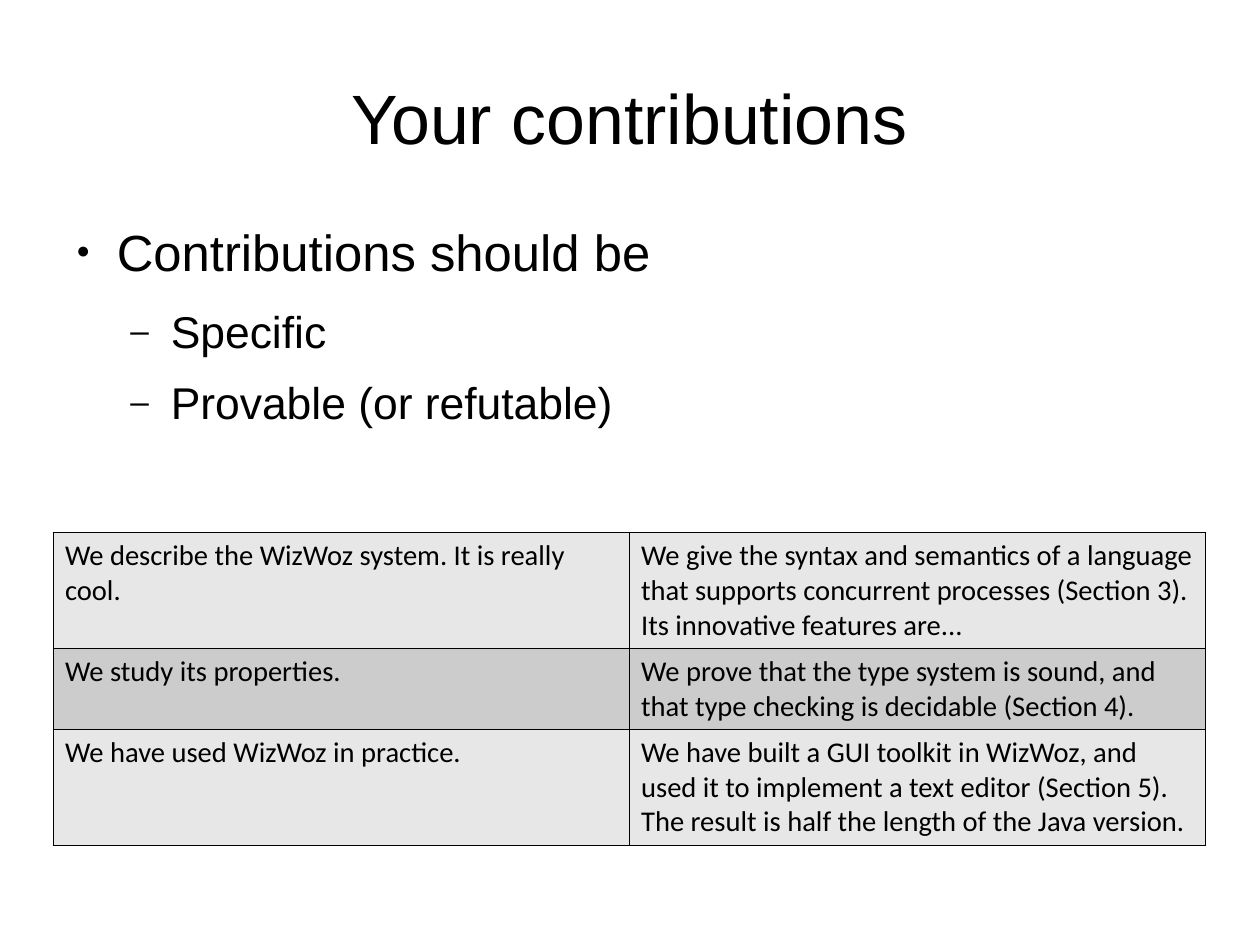
from pptx import Presentation
from pptx.util import Pt
from pptx.dml.color import RGBColor
from pptx.enum.text import PP_ALIGN, MSO_ANCHOR
from pptx.oxml.ns import qn
from lxml.etree import SubElement

HUES = {"ink": "000000", "light": "E7E7E7", "dark": "CCCCCC"}


def write(para, text, size, font="Arial", align=PP_ALIGN.LEFT, after=0):
    para.alignment = align
    para.space_before = Pt(0)
    para.space_after = Pt(after)
    run = para.add_run()
    run.text = text
    run.font.size = Pt(size)
    run.font.name = font
    run.font.color.rgb = RGBColor.from_string(HUES["ink"])


def clear(frame):
    frame.margin_left = frame.margin_right = Pt(0)
    frame.margin_top = frame.margin_bottom = Pt(0)
    frame.word_wrap = True


deck = Presentation()
deck.slide_width, deck.slide_height = Pt(793.75), Pt(595.25)
slide = deck.slides.add_slide(deck.slide_layouts[5])

# Title
title = slide.shapes.title
title.left, title.top = Pt(39.6), Pt(23.8)
title.width, title.height = Pt(714.2), Pt(99.4)
clear(title.text_frame)
title.text_frame.vertical_anchor = MSO_ANCHOR.MIDDLE
write(title.text_frame.paragraphs[0], "Your contributions", 44,
      align=PP_ALIGN.CENTER)

# Bullet list: text, level, size, space after, mark, mark size in percent
points = [
    ("Contributions should be", 0, 32, 14.1, "●", 45),
    ("Specific", 1, 28, 11.3, "–", 75),
    ("Provable (or refutable)", 1, 28, 11.3, "–", 75),
]
body = slide.shapes.add_textbox(Pt(39.6), Pt(139), Pt(714.2), Pt(393))
frame = body.text_frame
clear(frame)
for i, (text, level, size, after, mark, scale) in enumerate(points):
    para = frame.add_paragraph() if i else frame.paragraphs[0]
    write(para, text, size, after=after)
    para.level = level
    props = para._p.get_or_add_pPr()
    props.set("marL", str(Pt(34 * (level + 1))))
    props.set("indent", str(Pt(-25.5)))
    SubElement(props, qn("a:buSzPct")).set("val", str(scale * 1000))
    SubElement(props, qn("a:buFont")).set("typeface", "Arial")
    SubElement(props, qn("a:buChar")).set("char", mark)

# Table of vague claims and their specific versions
claims = [
    ("We describe the WizWoz system. It is really cool.",
     "We give the syntax and semantics of a language that supports "
     "concurrent processes (Section 3). Its innovative features are..."),
    ("We study its properties.",
     "We prove that the type system is sound, and that type checking "
     "is decidable (Section 4)."),
    ("We have used WizWoz in practice.",
     "We have built a GUI toolkit in WizWoz, and used it to implement "
     "a text editor (Section 5). The result is half the length of the "
     "Java version."),
]
heights = [73, 51, 73]
table = slide.shapes.add_table(3, 2, Pt(33.8), Pt(335.4), Pt(725.8),
                               Pt(sum(heights))).table
for r, (pair, height) in enumerate(zip(claims, heights)):
    table.rows[r].height = Pt(height)
    for c, text in enumerate(pair):
        cell = table.cell(r, c)
        write(cell.text_frame.paragraphs[0], text, 18, font="Calibri")
        # Borders go before the fill
        props = cell._tc.get_or_add_tcPr()
        for side in ("lnL", "lnR", "lnT", "lnB"):
            line = SubElement(props, qn("a:" + side), w=str(Pt(1)))
            fill = SubElement(line, qn("a:solidFill"))
            SubElement(fill, qn("a:srgbClr"), val=HUES["ink"])
        cell.fill.solid()
        shade = HUES["dark" if r % 2 else "light"]
        cell.fill.fore_color.rgb = RGBColor.from_string(shade)

deck.save("out.pptx")
